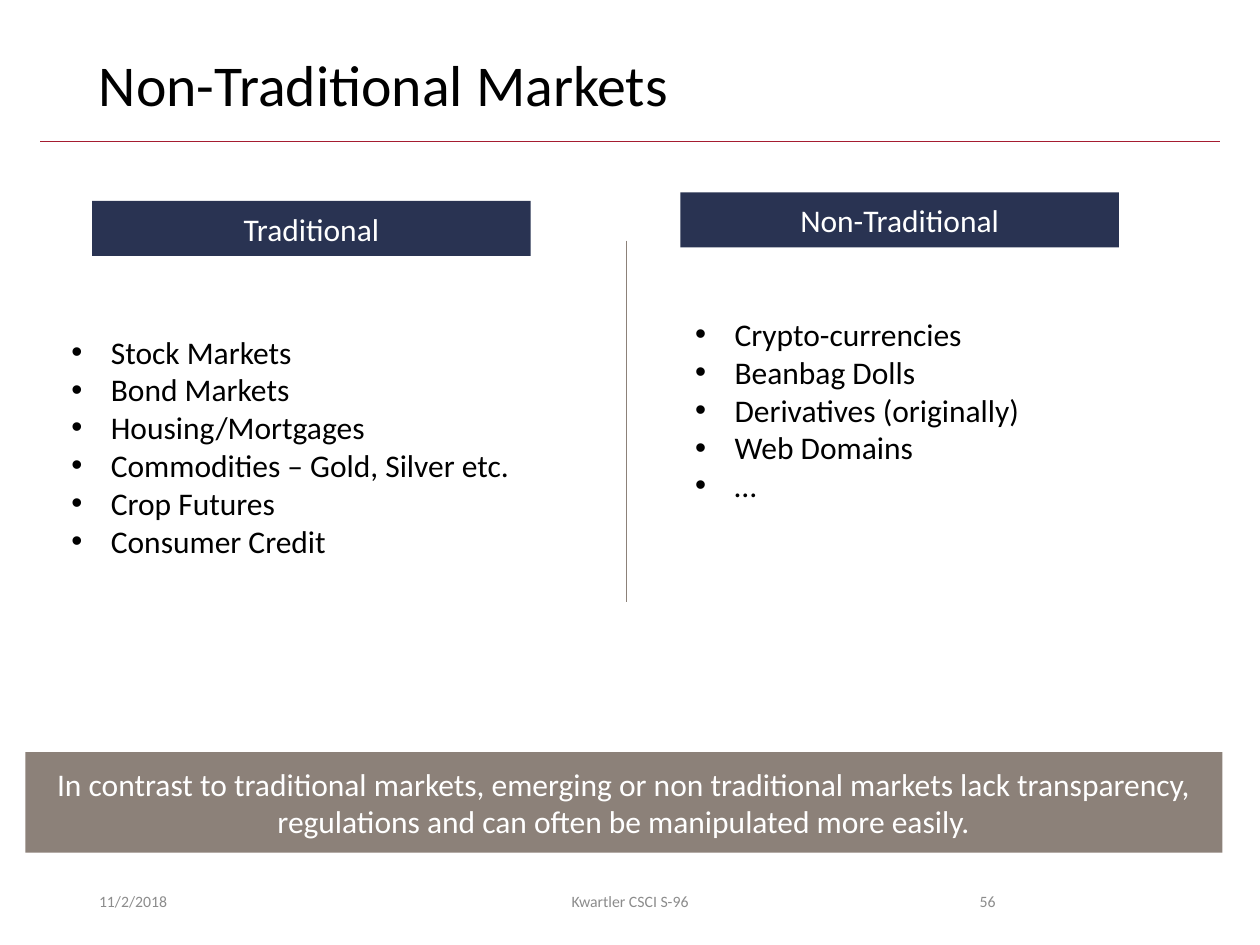
import pptx
import pptx.dml.color
import pptx.enum.shapes
import pptx.enum.text
import pptx.oxml.ns
import pptx.util
from lxml import etree

Pt = pptx.util.Pt
Align = pptx.enum.text.PP_ALIGN
Anchor = pptx.enum.text.MSO_ANCHOR

NAVY, TAUPE, CRIMSON = "293352", "8C8179", "A51C30"
BLACK, WHITE, GREY = "000000", "FFFFFF", "8C8C8C"


def rgb(value):
    return pptx.dml.color.RGBColor.from_string(value)


class MarketSlide:
    font = "Calibri"
    body_size = 18
    bullet_indent = 22.5

    def __init__(self, deck):
        self.page = deck.slides.add_slide(deck.slide_layouts[6])

    def add_span(self, para, words, size, color, align=Align.LEFT):
        para.alignment = align
        span = para.add_run()
        span.text = words
        span.font.name = self.font
        span.font.size = Pt(size)
        span.font.color.rgb = rgb(color)

    def line(self, x1, y1, x2, y2, color):
        line = self.page.shapes.add_connector(
            pptx.enum.shapes.MSO_CONNECTOR.STRAIGHT, Pt(x1), Pt(y1), Pt(x2), Pt(y2))
        line.line.color.rgb = rgb(color)
        line.line.width = Pt(0.5)
        etree.SubElement(line._element.spPr, pptx.oxml.ns.qn("a:effectLst"))

    def text(self, left, top, width, height, words, size, color,
             align=Align.LEFT, anchor=Anchor.MIDDLE, spacing=1.0):
        box = self.page.shapes.add_textbox(Pt(left), Pt(top), Pt(width), Pt(height))
        frame = box.text_frame
        frame.word_wrap = True
        frame.vertical_anchor = anchor
        para = frame.paragraphs[0]
        para.line_spacing = spacing
        self.add_span(para, words, size, color, align)

    def banner(self, left, top, width, height, words, fill):
        box = self.page.shapes.add_shape(
            pptx.enum.shapes.MSO_SHAPE.RECTANGLE, Pt(left), Pt(top), Pt(width), Pt(height))
        box.shadow.inherit = False
        box.fill.solid()
        box.fill.fore_color.rgb = rgb(fill)
        box.line.fill.background()
        box.text_frame.word_wrap = True
        box.text_frame.vertical_anchor = Anchor.MIDDLE
        self.add_span(box.text_frame.paragraphs[0], words, self.body_size, WHITE, Align.CENTER)

    def bullets(self, left, top, width, height, items):
        box = self.page.shapes.add_textbox(Pt(left), Pt(top), Pt(width), Pt(height))
        frame = box.text_frame
        frame.word_wrap = False
        frame.auto_size = pptx.enum.text.MSO_AUTO_SIZE.SHAPE_TO_FIT_TEXT
        for index, item in enumerate(items):
            para = frame.add_paragraph() if index else frame.paragraphs[0]
            props = para._p.get_or_add_pPr()
            props.set("marL", str(Pt(self.bullet_indent)))
            props.set("indent", str(-Pt(self.bullet_indent)))
            etree.SubElement(props, pptx.oxml.ns.qn("a:buFont"), typeface="Arial")
            etree.SubElement(props, pptx.oxml.ns.qn("a:buChar"), char="•")
            self.add_span(para, item, self.body_size, BLACK)


def main():
    deck = pptx.Presentation()
    deck.slide_width, deck.slide_height = Pt(720), Pt(540)
    slide = MarketSlide(deck)

    slide.line(23, 80.8, 697, 80.8, CRIMSON)
    slide.text(49.5, 28.8, 621, 46.8, "Non-Traditional Markets", 33, BLACK,
               anchor=Anchor.TOP, spacing=0.9)

    for left, width, words, align in (
            (49.5, 162, "11/2/2018", Align.LEFT),
            (238.5, 243, "Kwartler CSCI S-96", Align.CENTER),
            (508.5, 67.5, "56", Align.RIGHT)):
        slide.text(left, 500.5, width, 28.75, words, 9, GREY, align)

    slide.banner(14.5, 429.8, 684, 57.5,
                 "In contrast to traditional markets, emerging or non traditional markets "
                 "lack transparency, regulations and can often be manipulated more easily.",
                 TAUPE)
    slide.line(358, 137.5, 358, 344, TAUPE)

    slide.bullets(33.8, 186.5, 268, 138.2, (
        "Stock Markets", "Bond Markets", "Housing/Mortgages",
        "Commodities – Gold, Silver etc.", "Crop Futures", "Consumer Credit"))
    slide.bullets(390.2, 176.4, 201.6, 116.6, (
        "Crypto-currencies", "Beanbag Dolls", "Derivatives (originally)",
        "Web Domains", "…"))

    for left, top, words in ((52.6, 114.8, "Traditional"),
                             (388.8, 109.9, "Non-Traditional")):
        slide.banner(left, top, 250.6, 31.5, words, NAVY)

    deck.save("out.pptx")


if __name__ == "__main__":
    main()
